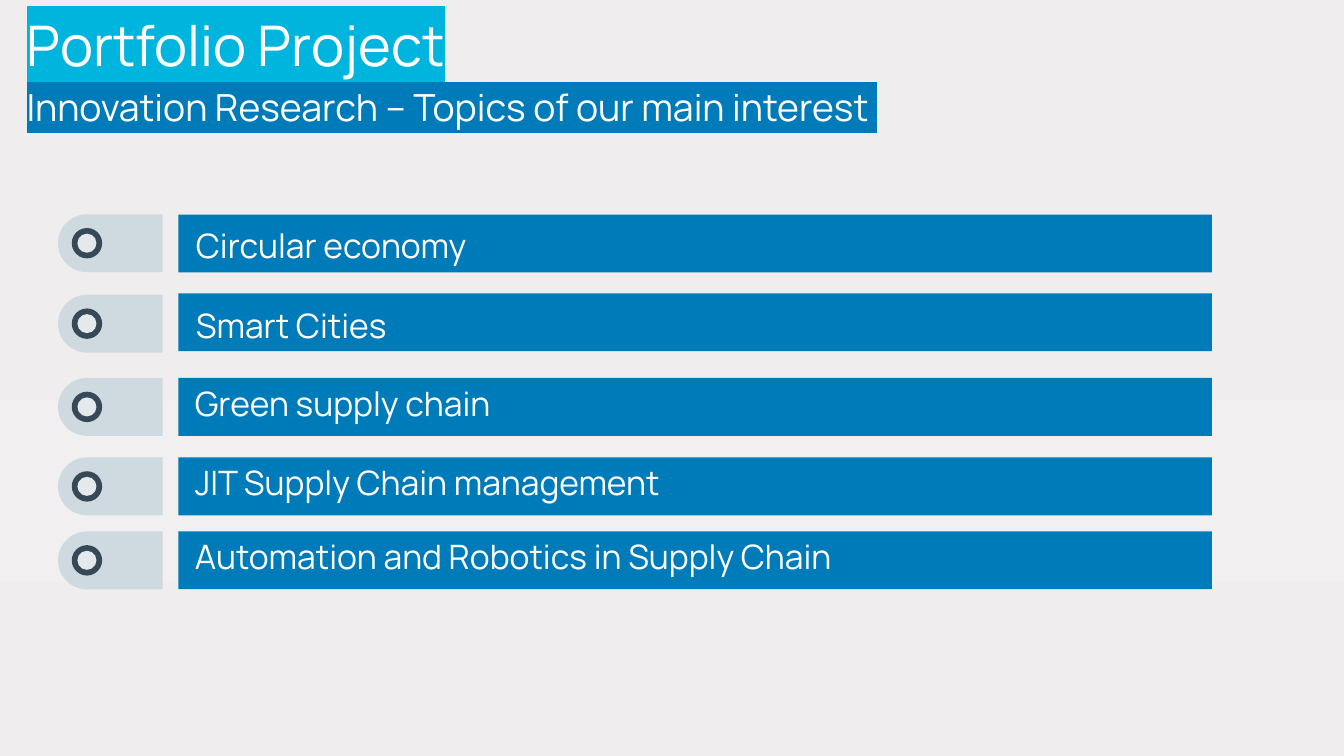
from lxml.etree import SubElement
from pptx import Presentation
from pptx.dml.color import RGBColor
from pptx.enum.shapes import MSO_SHAPE as Preset
from pptx.enum.text import MSO_ANCHOR as Anchor, MSO_AUTO_SIZE as AutoSize, PP_ALIGN as Align
from pptx.oxml.ns import qn
from pptx.util import Pt

FONT = "Manrope"
COLORS = {
    "white": "FFFFFF",
    "cyan": "00B5DD",
    "blue": "007BB9",
    "tab": "CFD9E0",
    "ring": "374957",
    "hole": "E3E9ED",
}
BACKDROP = [(0, "EFEDEE"), (53, "F1EFF0"), (77, "EFEDEE"), (100, "EFEBEC")]

# Each topic: wording, tab top, bar top, label left, label top
TOPICS = [
    ("Circular economy", 114.8, 115, 105, 114.7),
    ("Smart Cities", 157.9, 157.2, 105, 157.7),
    ("Green supply chain", 202.5, 202.5, 104.4, 199.4),
    ("JIT Supply Chain management", 245.1, 245.1, 104.4, 241.9),
    ("Automation and Robotics in Supply Chain", 284.7, 284.7, 104.4, 281.5),
]
ROW_HEIGHT = 31
TAB_LEFT, TAB_WIDTH = 31.1, 56
BAR_LEFT, BAR_WIDTH = 95.6, 553.6
LABEL_WIDTH = 463


def paint_backdrop(page):
    fill = page.background.fill
    fill.gradient()
    fill.gradient_angle = 270
    stops = page.element.find(".//" + qn("a:gsLst"))
    for stop in list(stops):
        stops.remove(stop)
    for percent, color in BACKDROP:
        stop = SubElement(stops, qn("a:gs"), pos=str(percent * 1000))
        SubElement(stop, qn("a:srgbClr"), val=color)


def prepare_frame(box, anchor):
    frame = box.text_frame
    frame.word_wrap = True
    frame.auto_size = AutoSize.NONE
    frame.vertical_anchor = anchor
    frame.margin_left = frame.margin_right = frame.margin_top = frame.margin_bottom = 0
    return frame


def add_span(para, text, size, highlight=None):
    span = para.add_run()
    span.text = text
    span.font.size = Pt(size)
    span.font.name = FONT
    span.font.color.rgb = RGBColor.from_string(COLORS["white"])
    if highlight:
        # The highlight must follow the fill in the run properties
        props = span.font.color and span._r.get_or_add_rPr()
        mark = SubElement(props, qn("a:highlight"))
        SubElement(mark, qn("a:srgbClr"), val=COLORS[highlight])
        props.find(qn("a:solidFill")).addnext(mark)


def add_plain_shape(page, preset, left, top, width, height, color):
    shape = page.shapes.add_shape(preset, Pt(left), Pt(top), Pt(width), Pt(height))
    shape.shadow.inherit = False
    shape.fill.solid()
    shape.fill.fore_color.rgb = RGBColor.from_string(COLORS[color])
    shape.line.fill.background()
    return shape


def place_title(page, left, top, width, height):
    title = page.shapes.title
    title.left, title.top, title.width, title.height = map(Pt, (left, top, width, height))
    frame = prepare_frame(title, Anchor.TOP)
    lines = [
        ("Portfolio Project", 30, "cyan"),
        ("Innovation Research – Topics of our main interest ", 20, "blue"),
    ]
    for index, (text, size, highlight) in enumerate(lines):
        para = frame.add_paragraph() if index else frame.paragraphs[0]
        para.alignment = Align.LEFT
        para.line_spacing = 1.15
        para.space_before = Pt(0)
        add_span(para, text, size, highlight)


def place_tab(page, left, top, width, height):
    # The rounded end points left, so the upright shape is turned about its centre
    middle_x, middle_y = left + width / 2, top + height / 2
    tab = add_plain_shape(page, Preset.ROUND_2_SAME_RECTANGLE, middle_x - height / 2,
                          middle_y - width / 2, height, width, "tab")
    tab.adjustments[0] = 0.5
    tab.rotation = 270
    for size, color in ((16.3, "ring"), (10.2, "hole")):
        add_plain_shape(page, Preset.OVAL, left + height / 2 - size / 2,
                        middle_y - size / 2, size, size, color)


def place_label(page, left, top, width, height, text):
    label = page.shapes.add_textbox(Pt(left), Pt(top), Pt(width), Pt(height))
    para = prepare_frame(label, Anchor.MIDDLE).paragraphs[0]
    para.line_spacing = 1.1
    para.space_before = Pt(6)
    add_span(para, text, 18)


def main():
    deck = Presentation()
    deck.slide_width, deck.slide_height = Pt(720), Pt(405)
    page = deck.slides.add_slide(deck.slide_layouts[5])
    paint_backdrop(page)
    place_title(page, 14.2, 0, 505, 80)

    # Topic rows
    for text, tab_top, bar_top, label_left, label_top in TOPICS:
        add_plain_shape(page, Preset.RECTANGLE, BAR_LEFT, bar_top, BAR_WIDTH, ROW_HEIGHT, "blue")
        place_label(page, label_left, label_top, LABEL_WIDTH, ROW_HEIGHT, text)
        place_tab(page, TAB_LEFT, tab_top, TAB_WIDTH, ROW_HEIGHT)

    deck.save("out.pptx")


if __name__ == "__main__":
    main()
